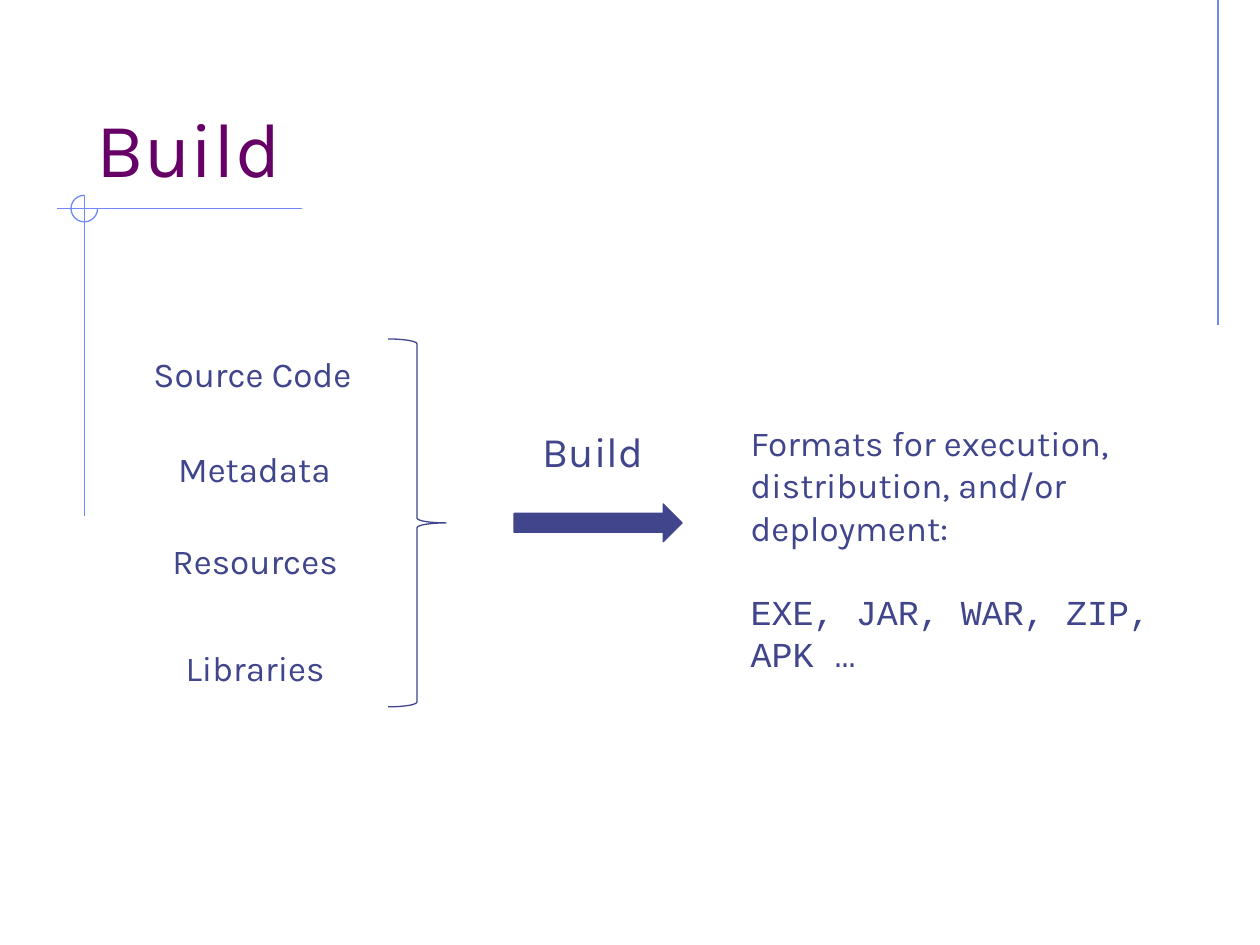
import pptx
import pptx.dml.color
import pptx.enum.shapes
import pptx.enum.text
import pptx.oxml
import pptx.oxml.ns
import pptx.util

Pt = pptx.util.Pt
SHAPES = pptx.enum.shapes.MSO_SHAPE
PURPLE = pptx.dml.color.RGBColor(0x66, 0x00, 0x66)
INDIGO = pptx.dml.color.RGBColor(0x40, 0x45, 0x8C)
PERIWINKLE = pptx.dml.color.RGBColor(0x6F, 0x89, 0xF7)
BODY_FONT = "Karla"
CODE_FONT = "Courier New"
LINE_WIDTH = 0.75
LABEL_HEIGHT = 31.68


def add_rule(page, start_x, start_y, end_x, end_y):
    rule = page.shapes.add_connector(
        pptx.enum.shapes.MSO_CONNECTOR.STRAIGHT,
        Pt(start_x), Pt(start_y), Pt(end_x), Pt(end_y))
    rule.line.color.rgb = PERIWINKLE
    rule.line.width = Pt(LINE_WIDTH)
    rule._element.spPr.append(pptx.oxml.parse_xml(
        "<a:effectLst %s/>" % pptx.oxml.ns.nsdecls("a")))


def add_outline(page, preset, left, top, width, height, color):
    shape = page.shapes.add_shape(preset, Pt(left), Pt(top), Pt(width), Pt(height))
    shape.shadow.inherit = False
    shape.fill.background()
    shape.line.color.rgb = color
    shape.line.width = Pt(LINE_WIDTH)
    return shape


def add_span(para, text, size, color=INDIGO, font=BODY_FONT):
    span = para.add_run()
    span.text = text
    span.font.size = Pt(size)
    span.font.name = font
    span.font.color.rgb = color


def add_text_box(page, left, top, width, height):
    box = page.shapes.add_textbox(Pt(left), Pt(top), Pt(width), Pt(height))
    box.text_frame.word_wrap = False
    box.text_frame.auto_size = pptx.enum.text.MSO_AUTO_SIZE.SHAPE_TO_FIT_TEXT
    return box.text_frame


def add_ornament(page, left, top, width, height):
    radius = 7.6
    cross_x, cross_y = left + 15.8, top + radius
    add_rule(page, left + width, cross_y, left, cross_y)
    add_rule(page, cross_x, top, cross_x, top + height)
    arc = add_outline(page, SHAPES.ARC, cross_x - radius, top,
                      2 * radius, 2 * radius, PERIWINKLE)
    arc.adjustments[0] = 0
    arc.adjustments[1] = 162


def add_title(page, left, top, width, height):
    box = page.shapes.add_textbox(Pt(left), Pt(top), Pt(width), Pt(height))
    frame = box.text_frame
    frame.word_wrap = True
    frame.vertical_anchor = pptx.enum.text.MSO_ANCHOR.BOTTOM
    add_span(frame.paragraphs[0], "Build", 44, PURPLE)


def add_inputs(page, left, top, width, height):
    brace_width = 33.12
    center = left + 66.24
    labels = [("Source Code", 4.32, 132.48), ("Metadata", 58.32, 104.4),
              ("Resources", 110.88, 110.88), ("Libraries", 172.08, 95.76)]
    for text, offset, label_width in labels:
        frame = add_text_box(page, center - label_width / 2, top + offset,
                             label_width, LABEL_HEIGHT)
        add_span(frame.paragraphs[0], text, 20)
    add_outline(page, SHAPES.RIGHT_BRACE, left + width - brace_width, top,
                brace_width, height, INDIGO)


def add_build_step(page, left, top, width, height):
    arrow_height = 21.6
    arrow = add_outline(page, SHAPES.RIGHT_ARROW, left, top + height - arrow_height,
                        width, arrow_height, INDIGO)
    arrow.fill.solid()
    arrow.fill.fore_color.rgb = INDIGO
    frame = add_text_box(page, left + 9.36, top, 72, 36)
    add_span(frame.paragraphs[0], "Build", 24)


def add_outputs(page, left, top, width, height):
    frame = add_text_box(page, left, top, width, height)
    lines = [("Formats for execution,", BODY_FONT, 0),
             ("distribution, and/or", BODY_FONT, 0),
             ("deployment:", BODY_FONT, 0),
             ("EXE, JAR, WAR, ZIP,", CODE_FONT, 24),
             ("APK …", CODE_FONT, 0)]
    for index, (text, font, gap) in enumerate(lines):
        para = frame.add_paragraph() if index else frame.paragraphs[0]
        para.space_before = Pt(gap)
        add_span(para, text, 20, font=font)


def main():
    deck = pptx.Presentation()
    deck.slide_width, deck.slide_height = Pt(720), Pt(540)
    page = deck.slides.add_slide(deck.slide_layouts[6])
    add_rule(page, 696, 0, 696, 186)
    add_ornament(page, 32.4, 111.6, 140.4, 183)
    add_title(page, 48, 24, 612, 90)
    add_inputs(page, 80.64, 193.68, 174.24, 210.24)
    add_build_step(page, 293.76, 239.76, 96, 69.84)
    add_outputs(page, 421.92, 237.6, 242.64, 151.2)
    deck.save("out.pptx")


if __name__ == "__main__":
    main()
